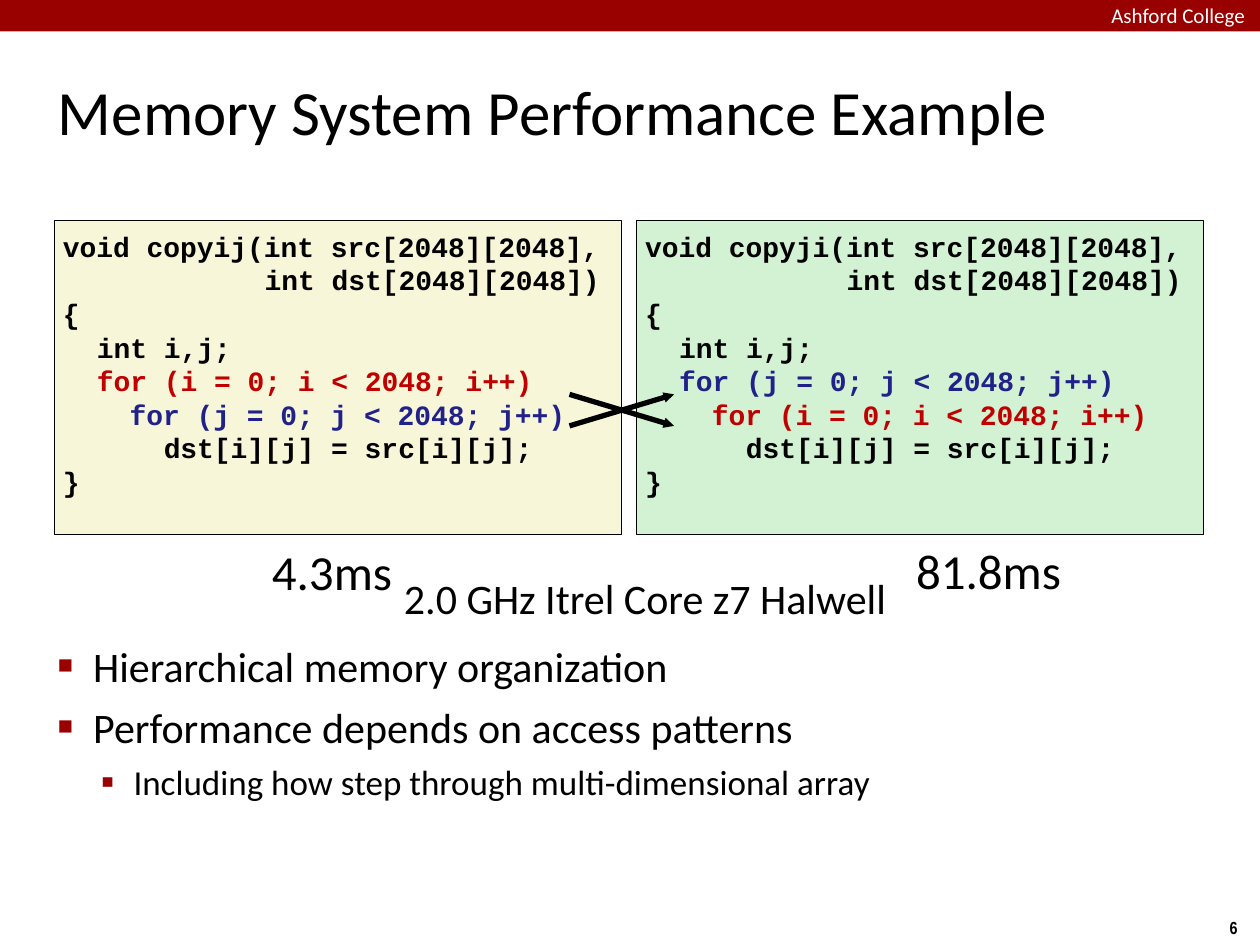
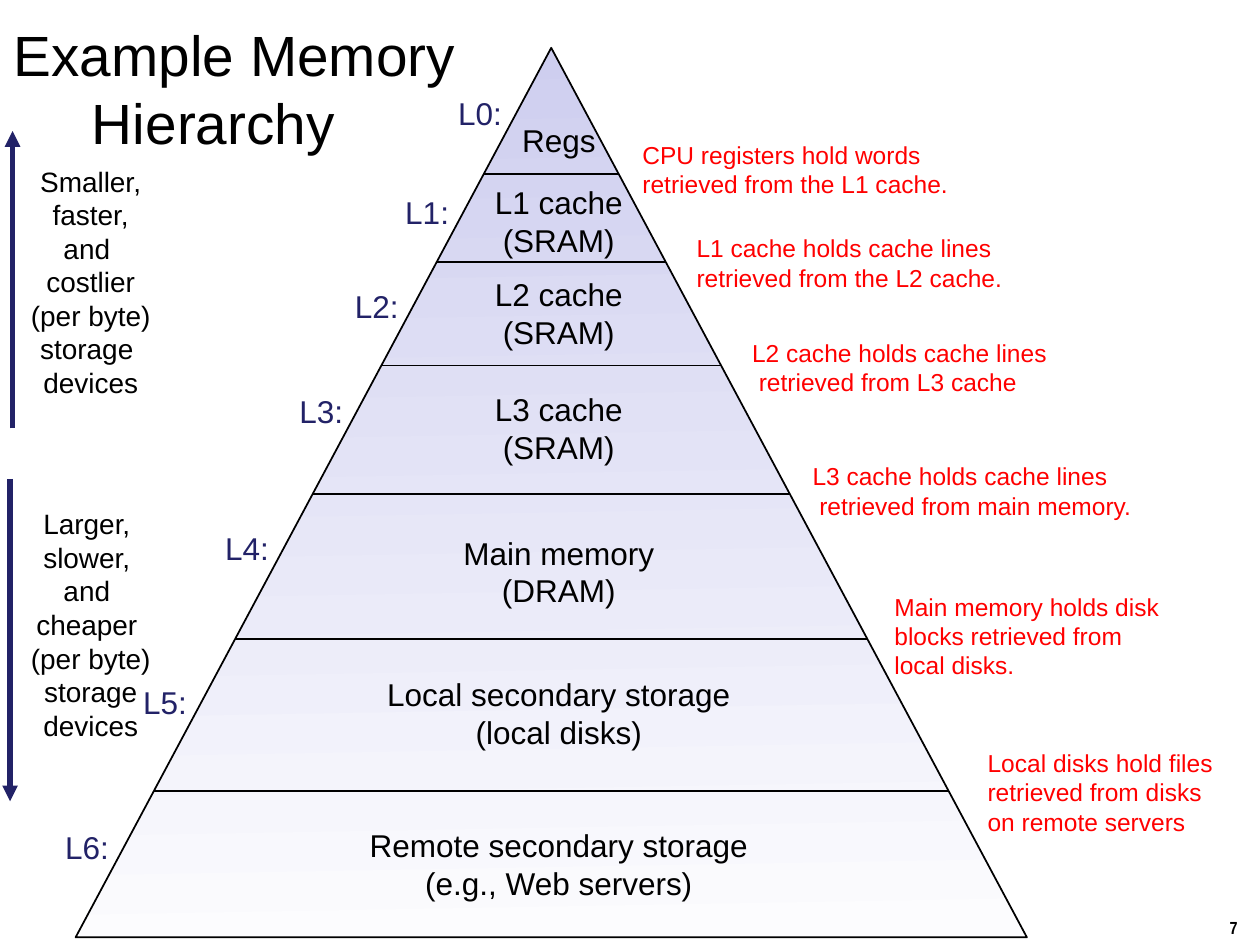
from dataclasses import dataclass, replace
from typing import Any, NamedTuple

from lxml.etree import SubElement
from pptx import Presentation
from pptx.dml.color import RGBColor
from pptx.enum.shapes import MSO_CONNECTOR, MSO_SHAPE
from pptx.enum.text import MSO_ANCHOR, MSO_AUTO_SIZE, PP_ALIGN
from pptx.oxml.ns import qn
from pptx.util import Emu, Pt

PX = 9144
SLIDE_WIDTH, SLIDE_HEIGHT = 1000, 750

COLORS = {
    "band": "990000",
    "white": "FFFFFF",
    "black": "000000",
    "i": "C00000",
    "j": "21218A",
    "yellow": "F8F6D9",
    "green": "D3F2D3",
    "navy": "222267",
    "note": "FF0000",
    "pyramid_top": "CECEEF",
    "pyramid_base": "FCFCFE",
}


class Area(NamedTuple):
    left: int
    top: int
    width: int
    height: int


@dataclass(frozen=True)
class Style:
    font: str
    size: float
    color: str = "black"
    bold: bool = False
    align: Any = PP_ALIGN.LEFT


@dataclass(frozen=True)
class Bullet:
    char: str
    percent: int
    hanging: int


@dataclass(frozen=True)
class Line:
    text: str
    color: str = ""
    size: float = 0
    indent: int = 0
    before: int = 0
    bullet: Bullet | None = None


class CodePanel(NamedTuple):
    left: int
    fill: str
    outer: str
    inner: str


class Level(NamedTuple):
    label_top: int
    name_top: int
    name_width: int
    base: int
    names: list[str]


class Note(NamedTuple):
    left: int
    top: int
    width: int
    height: int
    lines: list[str]


class Trend(NamedTuple):
    text_top: int
    x: int
    start: int
    end: int
    lines: list[str]


TITLE = Style("Calibri", 36)
BODY = Style("Calibri", 24)
TIMING = Style("Calibri", 28, align=PP_ALIGN.CENTER)
MACHINE = replace(TIMING, size=24)
HEADER = Style("Calibri", 12, "white")
PAGE_NUMBER = Style("Arial Narrow", 10, bold=True, align=PP_ALIGN.CENTER)
CODE = Style("Courier New", 16, bold=True)
HIERARCHY_TITLE = Style("Arial", 32.4)
LEVEL_NAME = Style("Arial", 18, align=PP_ALIGN.CENTER)
LEVEL_LABEL = replace(LEVEL_NAME, color="navy")
TREND = replace(LEVEL_NAME, size=16)
NOTE = Style("Arial", 14, "note")

PLAIN = {"word_wrap": True, "auto_size": MSO_AUTO_SIZE.NONE, "vertical_anchor": MSO_ANCHOR.TOP}
MIDDLE = PLAIN | {"vertical_anchor": MSO_ANCHOR.MIDDLE}
GROW = PLAIN | {"word_wrap": False, "auto_size": MSO_AUTO_SIZE.SHAPE_TO_FIT_TEXT}
GROW_MIDDLE = GROW | {"vertical_anchor": MSO_ANCHOR.MIDDLE}
GROW_WRAPPED = GROW_MIDDLE | {"word_wrap": True}

SQUARE = Bullet("■", 60, 28)
SMALL_SQUARE = Bullet("▪", 110, 26)

PANELS = [CodePanel(43, "yellow", "i", "j"), CodePanel(505, "green", "j", "i")]
PANEL_TOP, PANEL_WIDTH, PANEL_HEIGHT = 175, 450, 249

PYRAMID = Area(60, 38, 755, 706)
NAME_CENTER = 443

LEVELS = [
    Level(70, 91, 79, 138, ["Regs"]),
    Level(148, 140, 123, 208, ["L1 cache", "(SRAM)"]),
    Level(223, 213, 123, 290, ["L2 cache", "(SRAM)"]),
    Level(306, 304, 123, 392, ["L3 cache", "(SRAM)"]),
    Level(415, 418, 173, 507, ["Main memory", "(DRAM)"]),
    Level(537, 530, 295, 628, ["Local secondary storage", "(local disks)"]),
    Level(652, 650, 323, 744, ["Remote secondary storage", "(e.g., Web servers)"]),
]

NOTES = [
    Note(500, 106, 319, 57, ["CPU registers hold words retrieved from the L1 cache."]),
    Note(543, 180, 310, 57, ["L1 cache holds cache lines retrieved from the L2 cache."]),
    Note(587, 263, 288, 57, ["L2 cache holds cache lines", " retrieved from L3 cache"]),
    Note(635, 361, 315, 57, ["L3 cache holds cache lines", " retrieved from main memory."]),
    Note(700, 464, 239, 81, ["Main memory holds disk blocks retrieved from local disks."]),
    Note(774, 588, 226, 81, ["Local disks hold files retrieved from disks", "on remote servers"]),
]

TRENDS = [
    Trend(124, 10, 340, 104,
          ["Smaller,", "faster,", "and ", "costlier", "(per byte)", "storage ", "devices"]),
    Trend(396, 8, 380, 636,
          ["Larger, ", "slower, ", "and ", "cheaper ", "(per byte)", "storage", "devices"]),
]


def px(value: float) -> Emu:
    return Emu(round(value * PX))


def rgb(name: str) -> RGBColor:
    return RGBColor.from_string(COLORS[name])


def set_bullet(para: Any, bullet: Bullet) -> None:
    properties = para._p.get_or_add_pPr()
    properties.set("indent", str(px(-bullet.hanging)))
    color = SubElement(properties, qn("a:buClr"))
    SubElement(color, qn("a:srgbClr"), val=COLORS["band"])
    SubElement(properties, qn("a:buSzPct"), val=str(bullet.percent * 1000))
    SubElement(properties, qn("a:buFont"), typeface="Arial")
    SubElement(properties, qn("a:buChar"), char=bullet.char)


def write(frame: Any, lines: list[Line], style: Style, layout: dict[str, Any],
          inset: tuple[int, int]) -> None:
    across, down = inset
    margins = {"margin_left": px(across), "margin_right": px(across),
               "margin_top": px(down), "margin_bottom": px(down)}
    for name, value in (layout | margins).items():
        setattr(frame, name, value)
    for index, line in enumerate(lines):
        para = frame.add_paragraph() if index else frame.paragraphs[0]
        para.alignment = style.align
        para.space_before = Pt(line.before)
        if line.indent:
            para._p.get_or_add_pPr().set("marL", str(px(line.indent)))
        if line.bullet:
            set_bullet(para, line.bullet)
        span = para.add_run()
        span.text = line.text
        values = {"name": style.font, "size": Pt(line.size or style.size), "bold": style.bold}
        for name, value in values.items():
            setattr(span.font, name, value)
        span.font.color.rgb = rgb(line.color or style.color)


def add_text(page: Any, area: Area, lines: list[Line], style: Style,
             layout: dict[str, Any], inset: tuple[int, int] = (10, 5)) -> None:
    box = page.shapes.add_textbox(*map(px, area))
    write(box.text_frame, lines, style, layout, inset)


def add_block(page: Any, kind: Any, area: Area, fill: str = "", line_width: float = 0) -> Any:
    block = page.shapes.add_shape(kind, *map(px, area))
    block.shadow.inherit = False
    if fill:
        block.fill.solid()
        block.fill.fore_color.rgb = rgb(fill)
    if line_width:
        block.line.color.rgb = rgb("black")
        block.line.width = Pt(line_width)
    else:
        block.line.fill.background()
    return block


def add_line(page: Any, start: tuple[float, float], end: tuple[float, float],
             color: str = "black", width: float = 1, head: str = "") -> None:
    line = page.shapes.add_connector(MSO_CONNECTOR.STRAIGHT, *map(px, start + end))
    line.line.color.rgb = rgb(color)
    line.line.width = Pt(width)
    if head:
        SubElement(line.line._get_or_add_ln(), qn("a:tailEnd"), type="triangle", w=head, len=head)
    SubElement(line._element.spPr, qn("a:effectLst"))


def add_page(deck: Any, number: int) -> Any:
    page = deck.slides.add_slide(deck.slide_layouts[6])
    add_text(page, Area(962, 723, 34, 27), [Line(str(number))], PAGE_NUMBER, GROW)
    return page


def code_lines(outer: str, inner: str) -> list[Line]:
    def row(columns: int, text: str, color: str = "") -> Line:
        return Line(text, color, indent=round(columns * 40 / 3))

    def loop(columns: int, index: str) -> Line:
        return row(columns, f"for ({index} = 0; {index} < 2048; {index}++)", index)

    return [
        row(0, f"void copy{outer}{inner}(int src[2048][2048],"),
        row(12, "int dst[2048][2048])"),
        row(0, "{"),
        row(2, "int i,j;"),
        loop(2, outer),
        loop(4, inner),
        row(6, "dst[i][j] = src[i][j];"),
        row(0, "}"),
    ]


def build_performance(deck: Any) -> None:
    page = add_page(deck, 6)
    add_block(page, MSO_SHAPE.RECTANGLE, Area(0, 0, SLIDE_WIDTH, 25), "band")
    add_text(page, Area(882, 2, 118, 19), [Line("Ashford College")], HEADER,
             PLAIN | {"word_wrap": False}, (0, 0))
    add_text(page, Area(42, 28, 917, 119), [Line("Memory System Performance Example")],
             TITLE, MIDDLE, (4, 4))
    add_text(page, Area(42, 504, 917, 243), [
        Line("Hierarchical memory organization", indent=28, before=6, bullet=SQUARE),
        Line("Performance depends on access patterns", indent=28, before=6, bullet=SQUARE),
        Line("Including how step through multi-dimensional array", size=20, indent=60,
             before=5, bullet=SMALL_SQUARE),
    ], BODY, PLAIN, (4, 4))
    for panel in PANELS:
        area = Area(panel.left, PANEL_TOP, PANEL_WIDTH, PANEL_HEIGHT)
        block = add_block(page, MSO_SHAPE.RECTANGLE, area, panel.fill, 0.5)
        write(block.text_frame, code_lines(panel.outer, panel.inner), CODE, PLAIN, (7, 7))
    for start, end in ((313, 338), (338, 313)):
        add_line(page, (452, start), (535, end), width=3, head="sm")
    add_text(page, Area(722, 425, 125, 56), [Line("81.8ms")], TIMING, GROW, (4, 4))
    add_text(page, Area(205, 425, 117, 57), [Line("4.3ms")], TIMING, GROW)
    add_text(page, Area(302, 450, 420, 49), [Line("2.0 GHz Itrel Core z7 Halwell")],
             MACHINE, GROW, (4, 4))


def pyramid_edges(y: float) -> tuple[float, float]:
    center = PYRAMID.left + PYRAMID.width / 2
    half = (y - PYRAMID.top) * PYRAMID.width / PYRAMID.height / 2
    return center - half, center + half


def build_hierarchy(deck: Any) -> None:
    page = add_page(deck, 7)
    add_text(page, Area(7, 27, 953, 86),
             [Line("Example Memory"), Line("Hierarchy", indent=62)],
             HIERARCHY_TITLE, MIDDLE, (4, 4))
    pyramid = add_block(page, MSO_SHAPE.ISOSCELES_TRIANGLE, PYRAMID, line_width=1)
    pyramid.fill.gradient()
    pyramid.fill.gradient_angle = 91
    for stop, color in zip(pyramid.fill.gradient_stops, ("pyramid_base", "pyramid_top")):
        stop.color.rgb = rgb(color)
    for number, level in enumerate(LEVELS):
        edge, _ = pyramid_edges(level.label_top + 20)
        add_text(page, Area(round(edge) - 58, level.label_top, 58, 40),
                 [Line(f"L{number}:")], LEVEL_LABEL, GROW_MIDDLE)
        height = 40 if len(level.names) == 1 else 71
        area = Area(NAME_CENTER - level.name_width // 2, level.name_top, level.name_width, height)
        add_text(page, area, [Line(name) for name in level.names], LEVEL_NAME, GROW_MIDDLE)
    for level in LEVELS[:-1]:
        left, right = pyramid_edges(level.base)
        add_line(page, (left, level.base), (right, level.base))
    for note in NOTES:
        add_text(page, Area(*note[:4]), [Line(text) for text in note.lines], NOTE, GROW_WRAPPED)
    for trend in TRENDS:
        add_text(page, Area(14, trend.text_top, 116, 199),
                 [Line(text) for text in trend.lines], TREND, GROW_MIDDLE)
        add_line(page, (trend.x, trend.start), (trend.x, trend.end), "navy", 3, "med")


def main() -> None:
    deck = Presentation()
    deck.slide_width, deck.slide_height = px(SLIDE_WIDTH), px(SLIDE_HEIGHT)
    build_performance(deck)
    build_hierarchy(deck)
    deck.save("out.pptx")


if __name__ == "__main__":
    main()
